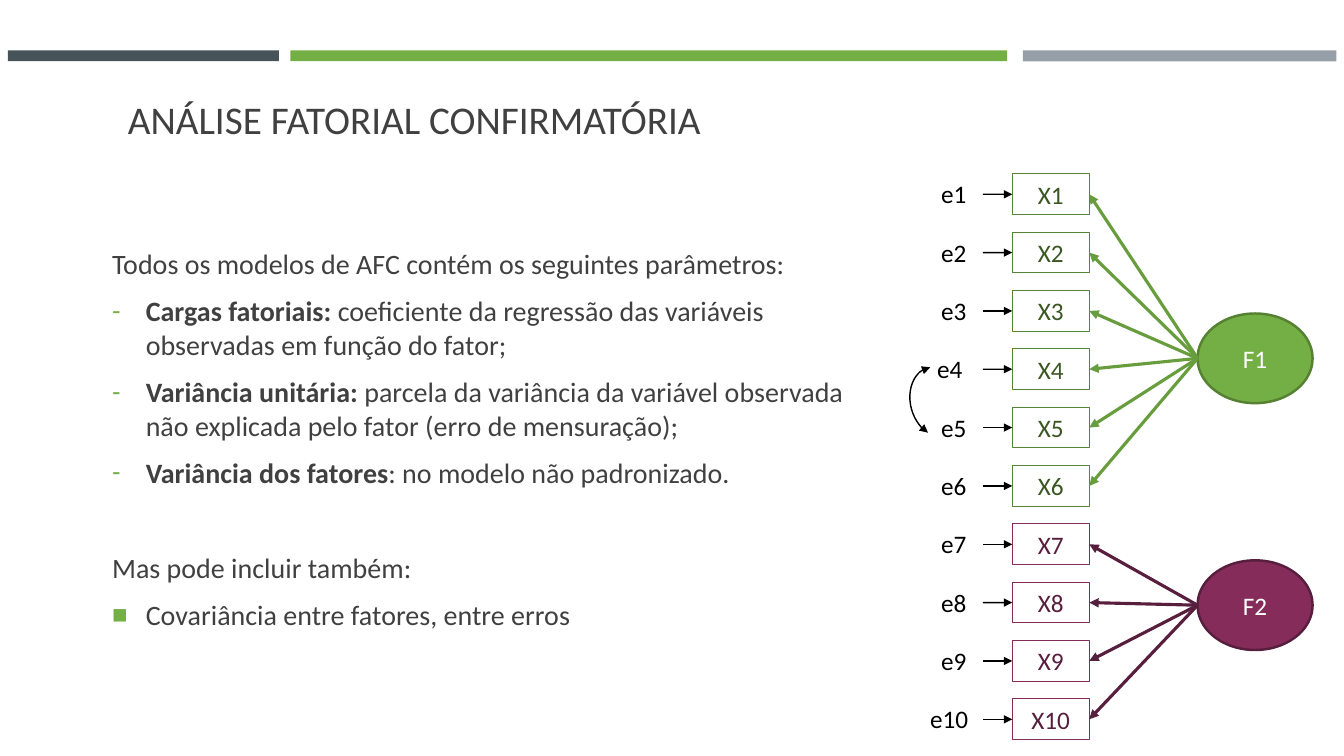
from lxml import etree
from pptx import Presentation
from pptx.dml.color import RGBColor
from pptx.enum.shapes import MSO_CONNECTOR, MSO_SHAPE
from pptx.enum.text import MSO_ANCHOR, MSO_AUTO_SIZE, PP_ALIGN
from pptx.oxml.ns import qn
from pptx.util import Cm, Pt

RECT, OVAL, ARC = MSO_SHAPE.RECTANGLE, MSO_SHAPE.OVAL, MSO_SHAPE.ARC
STRAIGHT = MSO_CONNECTOR.STRAIGHT
TOP, MIDDLE = MSO_ANCHOR.TOP, MSO_ANCHOR.MIDDLE
LEFT, CENTER = PP_ALIGN.LEFT, PP_ALIGN.CENTER
NO_AUTOFIT = MSO_AUTO_SIZE.NONE
LEFT_SIDE, RIGHT_SIDE = 1, 3

WHITE = RGBColor(0xFF, 0xFF, 0xFF)
BLACK = RGBColor(0, 0, 0)
INK = RGBColor(0x40, 0x40, 0x40)
SLATE = RGBColor(0x46, 0x53, 0x59)
GREY = RGBColor(0x96, 0x9F, 0xA7)
GREEN = RGBColor(0x74, 0xAF, 0x45)
GREEN_OVAL_LINE = RGBColor(0x56, 0x81, 0x33)
GREEN_BOX_LINE = RGBColor(0x57, 0x83, 0x34)
GREEN_ARROW = RGBColor(0x68, 0x9D, 0x3E)
GREEN_TEXT = RGBColor(0x3A, 0x57, 0x23)
PLUM = RGBColor(0x85, 0x2C, 0x5B)
DARK_PLUM = RGBColor(0x58, 0x1E, 0x3D)

# left, top, width, height in cm
BARS = [
    (SLATE, (0.2, 1.27, 6.83, 0.27)),
    (GREY, (25.78, 1.27, 7.9, 0.28)),
    (GREEN, (7.32, 1.27, 18.06, 0.27)),
]

# bullet, space before, (text, bold) runs
PARAMETERS = [
    (None, 0, [("Todos os modelos de AFC contém os seguintes parâmetros:", False)]),
    ("-", 9.6, [("Cargas fatoriais: ", True),
                ("coeficiente da regressão das variáveis observadas em função do fator;", False)]),
    ("-", 9.6, [("Variância unitária: ", True),
                ("parcela da variância da variável observada não explicada pelo fator "
                 "(erro de mensuração);", False)]),
    ("-", 9.6, [("Variância dos fatores", True), (": no modelo não padronizado.", False)]),
    (None, 44, [("Mas pode incluir também:", False)]),
    ("■", 9.6, [("Covariância entre fatores, entre erros", False)]),
]

FACTORS = [
    dict(name="F1", top=7.9, items=range(1, 7), fill=GREEN, oval_line=GREEN_OVAL_LINE,
         box_line=GREEN_BOX_LINE, arrow=GREEN_ARROW, text=GREEN_TEXT),
    dict(name="F2", top=14.12, items=range(7, 11), fill=PLUM, oval_line=DARK_PLUM,
         box_line=PLUM, arrow=DARK_PLUM, text=DARK_PLUM),
]
FACTOR_LEFT, FACTOR_W, FACTOR_H = 30.18, 2.9, 2.26
BOX_LEFT, BOX_TOP, BOX_W, BOX_H, PITCH = 25.51, 4.38, 1.94, 1.03, 1.47
ERROR_ARROW_LEFT = 24.77
ERROR_SPANS = {4: (23.37, 1.42), 10: (23.19, 1.85)}
DEFAULT_ERROR_SPAN = (23.47, 1.22)


class Builder:
    def __init__(self, slide, font="Calibri"):
        self.slide, self.font = slide, font

    def add_run(self, p, text, size, color, bold=False):
        r = p.add_run()
        r.text = text
        r.font.color.rgb = color
        for name, value in dict(name=self.font, size=Pt(size), bold=bold).items():
            setattr(r.font, name, value)

    def frame(self, sp, anchor):
        tf = sp.text_frame
        for name, value in dict(word_wrap=True, auto_size=NO_AUTOFIT,
                                vertical_anchor=anchor).items():
            setattr(tf, name, value)
        return tf

    def place(self, sp, box):
        for name, value in zip(("left", "top", "width", "height"), box):
            setattr(sp, name, Cm(value))

    def arrowheads(self, sp, *ends):
        ln = sp.line._get_or_add_ln()
        for end in ends:
            etree.SubElement(ln, qn(f"a:{end}"), type="triangle")

    def bullet(self, p, char):
        """Give a paragraph a hanging green bullet, or none."""
        pPr = p._p.get_or_add_pPr()
        indent = Cm(0.85) if char else 0
        pPr.set("marL", str(indent))
        pPr.set("indent", str(-indent))
        if not char:
            etree.SubElement(pPr, qn("a:buNone"))
            return
        clr = etree.SubElement(pPr, qn("a:buClr"))
        etree.SubElement(clr, qn("a:srgbClr"), val=str(GREEN))
        etree.SubElement(pPr, qn("a:buSzPct"), val="92000")
        etree.SubElement(pPr, qn("a:buChar"), char=char)

    def title(self, text, box):
        sp = self.slide.shapes.title
        self.place(sp, box)
        p = self.frame(sp, MIDDLE).paragraphs[0]
        p.alignment = LEFT
        self.add_run(p, text, 28, INK)

    def body(self, items, box):
        sp = self.slide.placeholders[1]
        self.place(sp, box)
        tf = self.frame(sp, TOP)
        for i, (char, before, runs) in enumerate(items):
            p = tf.add_paragraph() if i else tf.paragraphs[0]
            p.space_before = Pt(before)
            self.bullet(p, char)
            for text, bold in runs:
                self.add_run(p, text, 20, INK, bold)

    def shape(self, kind, box, fill=None, line=None, width=1.0):
        sp = self.slide.shapes.add_shape(kind, *map(Cm, box))
        sp.shadow.inherit = False
        if fill is None:
            sp.fill.background()
        else:
            sp.fill.solid()
            sp.fill.fore_color.rgb = fill
        if line is None:
            sp.line.fill.background()
        else:
            sp.line.color.rgb = line
            sp.line.width = Pt(width)
        return sp

    def node(self, kind, text, color, box, **style):
        sp = self.shape(kind, box, **style)
        p = self.frame(sp, MIDDLE).paragraphs[0]
        p.alignment = CENTER
        self.add_run(p, text, 18, color)
        return sp

    def label(self, text, box):
        sp = self.slide.shapes.add_textbox(*map(Cm, box))
        self.add_run(self.frame(sp, TOP).paragraphs[0], text, 18, BLACK)

    def arrow(self, start, end, color, width, head):
        cx = self.slide.shapes.add_connector(STRAIGHT, *map(Cm, (*start, *end)))
        cx.line.color.rgb = color
        cx.line.width = Pt(width)
        self.arrowheads(cx, head)
        etree.SubElement(cx._element.spPr, qn("a:effectLst"))
        return cx

    def indicator(self, n, factor):
        """Draw one observed variable with its error term and factor loading."""
        top = BOX_TOP + (n - 1) * PITCH
        mid = top + BOX_H / 2
        box = self.node(RECT, f"X{n}", factor["text"], (BOX_LEFT, top, BOX_W, BOX_H),
                        fill=WHITE, line=factor["box_line"], width=0.75)
        left, width = ERROR_SPANS.get(n, DEFAULT_ERROR_SPAN)
        self.label(f"e{n}", (left, top, width, BOX_H))
        error = self.arrow((ERROR_ARROW_LEFT, mid), (BOX_LEFT, mid), BLACK, 1, "tailEnd")
        error.end_connect(box, LEFT_SIDE)
        loading = self.arrow((BOX_LEFT + BOX_W, mid),
                             (FACTOR_LEFT, factor["top"] + FACTOR_H / 2),
                             factor["arrow"], 2.25, "headEnd")
        loading.begin_connect(box, RIGHT_SIDE)

    def covariance(self, box):
        sp = self.shape(ARC, box, line=BLACK)
        sp.adjustments[0] = 126.86
        sp.adjustments[1] = 1.97
        sp.rotation = 255.2
        self.arrowheads(sp, "headEnd", "tailEnd")


def main():
    prs = Presentation()
    prs.slide_width, prs.slide_height = Cm(33.87), Cm(19.05)
    b = Builder(prs.slides.add_slide(prs.slide_layouts[1]))
    for color, box in BARS:
        b.shape(RECT, box, fill=color)
    b.title("ANÁLISE FATORIAL CONFIRMATÓRIA", (2.97, 2.12, 27.94, 1.75))
    b.body(PARAMETERS, (2.57, 6.09, 19.48, 11.99))
    for factor in FACTORS:
        b.node(OVAL, factor["name"], WHITE, (FACTOR_LEFT, factor["top"], FACTOR_W, FACTOR_H),
               fill=factor["fill"], line=factor["oval_line"], width=1.75)
        for n in factor["items"]:
            b.indicator(n, factor)
    b.covariance((22.73, 9.45, 1.78, 1.35))
    prs.save("out.pptx")


if __name__ == "__main__":
    main()
